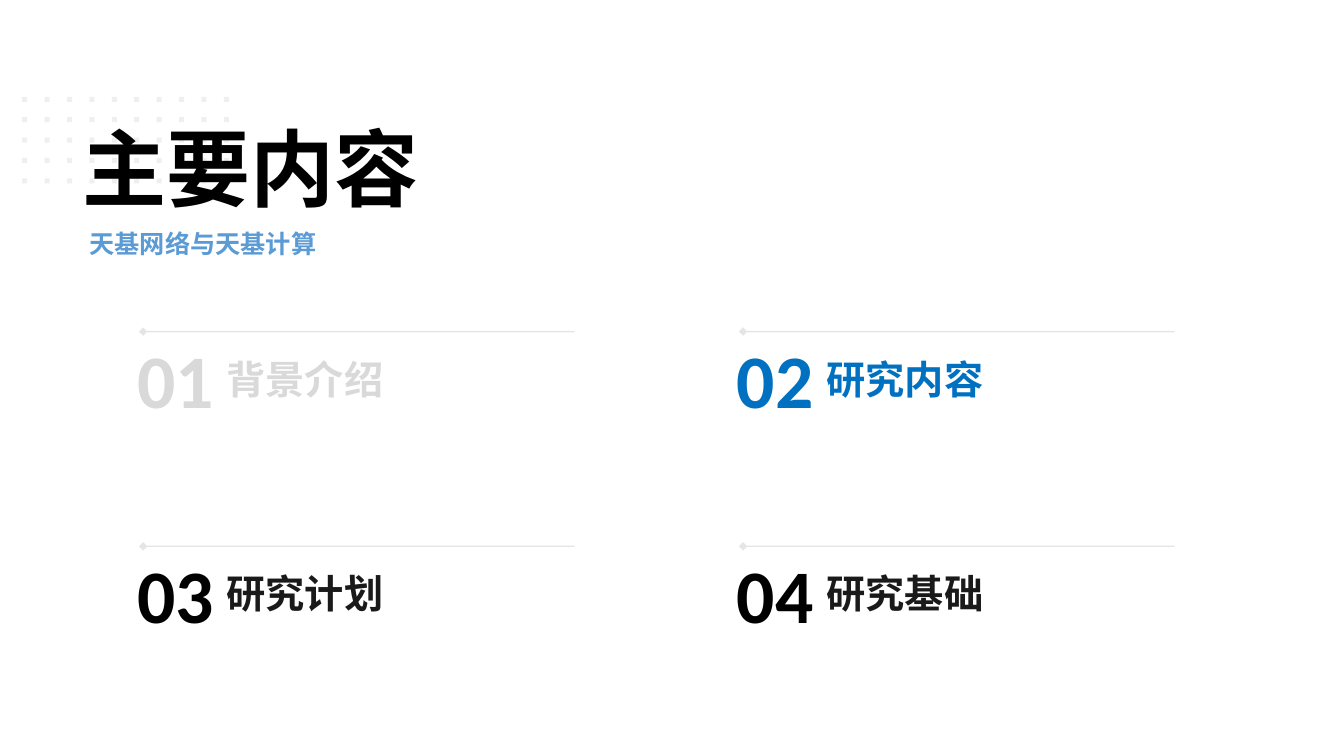
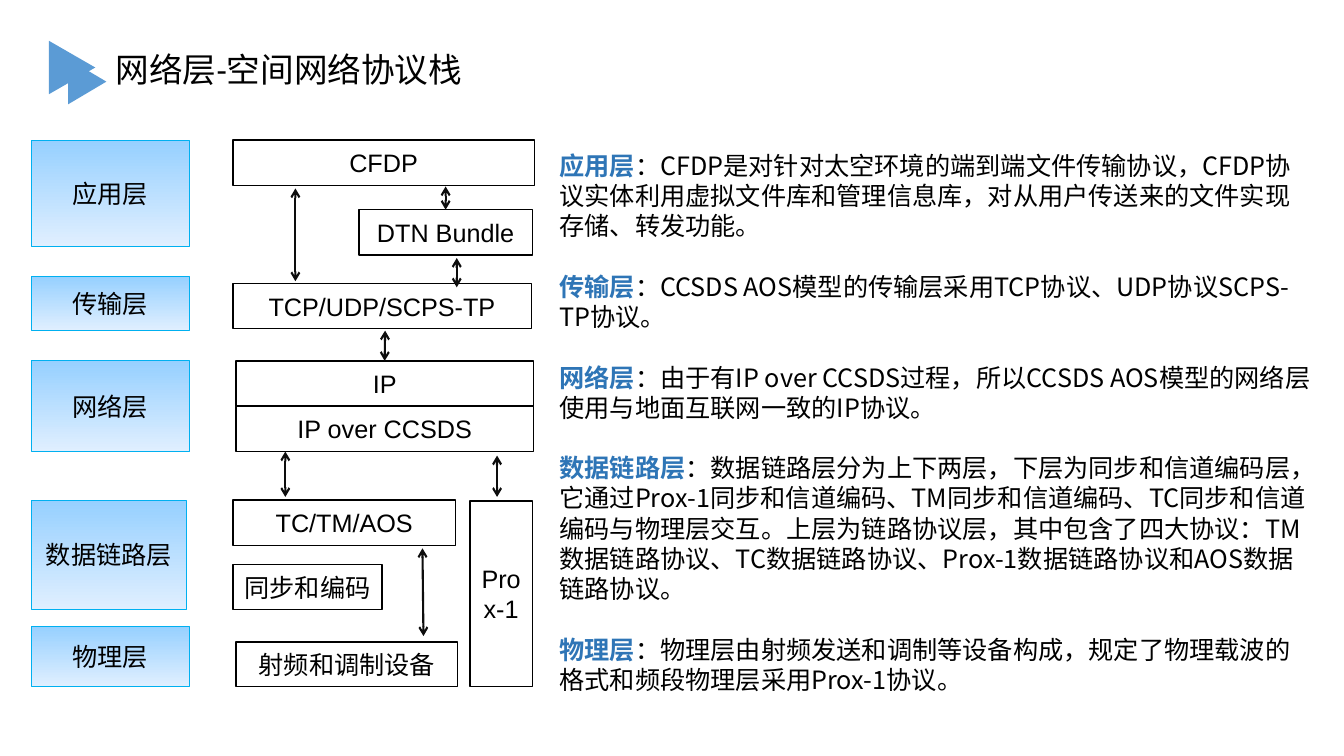
from dataclasses import dataclass
from itertools import product
from typing import NamedTuple, Optional

from pptx import Presentation
from pptx.dml.color import RGBColor as Rgb
from pptx.enum.shapes import MSO_CONNECTOR as Conn, MSO_SHAPE as Geom
from pptx.enum.text import MSO_ANCHOR as Anchor, PP_ALIGN as Align
from pptx.oxml.ns import qn
from pptx.oxml.xmlchemy import OxmlElement as Node
from pptx.util import Inches, Pt


@dataclass(frozen=True)
class Theme:
    black: str = "000000"
    white: str = "FFFFFF"
    gray: str = "808080"
    faded: str = "D9D9D9"
    dark: str = "1A1A1A"
    arrow: str = "0D0D0D"
    accent: str = "5B9BD5"
    active: str = "0070C0"
    term: str = "2E75B6"
    edge: str = "00B0F0"
    top: str = "96D0FF"
    base: str = "E0EFFF"
    head: str = "Calibri"
    label: str = "Arial"
    prose: str = "Noto Sans CJK SC"
    huge: float = 60
    number: float = 54
    item: float = 28
    title: float = 24
    body: float = 18
    pitch: float = 21.6


T = Theme()


class Area(NamedTuple):
    x: float
    y: float
    w: float
    h: float

    def lengths(self) -> list:
        return [Inches(v) for v in self]


class Style(NamedTuple):
    size: float
    color: str = T.black
    font: str = T.head
    bold: bool = False


class Topic(NamedTuple):
    text: str
    tint: str
    ink: str


class Box(NamedTuple):
    text: str
    area: Area


class Arrow(NamedTuple):
    x: float
    y: float
    x2: float
    y2: float
    target: Optional[str] = None


class Note(NamedTuple):
    term: str
    text: str


TOPICS = [
    Topic("背景介绍", T.faded, T.faded),
    Topic("研究内容", T.active, T.active),
    Topic("研究计划", T.black, T.dark),
    Topic("研究基础", T.black, T.dark),
]

LAYERS = [
    Box("应用层", Area(0.31, 1.39, 1.57, 1.05)),
    Box("传输层", Area(0.31, 2.74, 1.57, 0.54)),
    Box("网络层", Area(0.31, 3.58, 1.57, 0.9)),
    Box("数据链路层", Area(0.31, 4.96, 1.54, 1.09)),
    Box("物理层", Area(0.31, 6.21, 1.57, 0.6)),
]

STACK = [
    Box("CFDP", Area(2.31, 1.39, 2.99, 0.45)),
    Box("DTN Bundle", Area(3.56, 2.08, 1.72, 0.45)),
    Box("TCP/UDP/SCPS-TP", Area(2.31, 2.81, 2.96, 0.45)),
    Box("IP", Area(2.34, 3.58, 2.95, 0.45)),
    Box("IP over CCSDS", Area(2.34, 4.03, 2.95, 0.45)),
    Box("TC/TM/AOS", Area(2.31, 4.96, 2.21, 0.45)),
    Box("同步和编码", Area(2.31, 5.6, 1.48, 0.45)),
    Box("Prox-1", Area(4.66, 4.97, 0.62, 1.84)),
    Box("射频和调制设备", Area(2.34, 6.37, 2.2, 0.44)),
]

ARROWS = [
    Arrow(2.93, 1.87, 2.93, 2.79),
    Arrow(4.42, 1.85, 4.42, 2.08, "DTN Bundle"),
    Arrow(4.53, 2.56, 4.53, 2.85),
    Arrow(3.82, 3.28, 3.82, 3.58, "IP"),
    Arrow(2.83, 4.48, 2.83, 4.93),
    Arrow(4.93, 4.52, 4.93, 4.93),
    Arrow(4.19, 5.44, 4.2, 6.31),
]

NOTES = [
    Note("应用层", "：CFDP是对针对太空环境的端到端文件传输协议，CFDP协议实体利用虚拟文件库和管理信息库，"
         "对从用户传送来的文件实现存储、转发功能。"),
    Note("传输层", "：CCSDS AOS模型的传输层采用TCP协议、UDP协议SCPS-TP协议。"),
    Note("网络层", "：由于有IP over CCSDS过程，所以CCSDS AOS模型的网络层使用与地面互联网一致的IP协议。"),
    Note("数据链路层", "：数据链路层分为上下两层，下层为同步和信道编码层，它通过Prox-1同步和信道编码、"
         "TM同步和信道编码、TC同步和信道编码与物理层交互。上层为链路协议层，其中包含了四大协议："
         "TM数据链路协议、TC数据链路协议、Prox-1数据链路协议和AOS数据链路协议。"),
    Note("物理层", "：物理层由射频发送和调制等设备构成，规定了物理载波的格式和频段物理层采用Prox-1协议。"),
]


def rgb(code: str) -> Rgb:
    return Rgb.from_string(code)


def fade(shape, share: int) -> None:
    """Make every plain colour of the shape opaque by share percent only."""
    for color in shape.element.spPr.iter(qn("a:srgbClr")):
        alpha = Node("a:alpha")
        alpha.set("val", str(share * 1000))
        color.append(alpha)


def format_run(run, style: Style) -> None:
    font = run.font
    font.name, font.size, font.bold = style.font, Pt(style.size), style.bold
    font.color.rgb = rgb(style.color)
    east = Node("a:ea")
    east.set("typeface", style.font)
    run.font._element.find(qn("a:latin")).addnext(east)


def write(shape, text: str, style: Style, align=Align.LEFT, anchor=Anchor.TOP) -> None:
    frame = shape.text_frame
    frame.word_wrap = True
    frame.vertical_anchor = anchor
    frame.text = text
    para = frame.paragraphs[0]
    para.alignment = align
    format_run(para.runs[0], style)


def add_text(slide, area: Area, text: str, style: Style,
             align=Align.LEFT, anchor=Anchor.TOP) -> None:
    write(slide.shapes.add_textbox(*area.lengths()), text, style, align, anchor)


def add_form(slide, kind, area: Area, color: str, turn: float = 0):
    shape = slide.shapes.add_shape(kind, *area.lengths())
    shape.shadow.inherit = False
    shape.rotation = turn
    shape.fill.solid()
    shape.fill.fore_color.rgb = rgb(color)
    shape.line.fill.background()
    return shape


def add_line(slide, ends: tuple, color: str, width: float, head: str,
             tail: Optional[str] = None):
    line = slide.shapes.add_connector(Conn.STRAIGHT, *[Inches(v) for v in ends])
    line.line.color.rgb = rgb(color)
    line.line.width = Pt(width)
    props = line.element.spPr
    for tag, kind in (("a:headEnd", head), ("a:tailEnd", tail)):
        if kind:
            tip = Node(tag)
            tip.set("type", kind)
            props.find(qn("a:ln")).append(tip)
    props.append(Node("a:effectLst"))
    return line


def add_box(slide, box: Box, edge: str, width: float):
    shape = add_form(slide, Geom.RECTANGLE, box.area, T.white)
    shape.line.color.rgb = rgb(edge)
    shape.line.width = Pt(width)
    write(shape, box.text, Style(T.body, font=T.label), Align.CENTER, Anchor.MIDDLE)
    return shape


def add_layer(slide, box: Box) -> None:
    fill = add_box(slide, box, T.edge, 0.5).fill
    fill.gradient()
    fill.gradient_angle = 270
    for stop, color in zip(fill.gradient_stops, (T.top, T.base)):
        stop.color.rgb = rgb(color)


def add_topic(slide, index: int, topic: Topic) -> None:
    row, col = divmod(index, 2)
    x, y = 1.21 + col * 5.95, 3.25 + row * 2.13
    add_text(slide, Area(x, y, 1.06, 1.01), f"{index + 1:02}",
             Style(T.number, topic.tint, bold=True), Align.CENTER, Anchor.MIDDLE)
    add_text(slide, Area(x + 0.94, y + 0.22, 3.82, 0.57), topic.text,
             Style(T.item, topic.ink, bold=True), anchor=Anchor.MIDDLE)
    rule = add_line(slide, (x + 0.21, y + 0.04, x + 4.49, y + 0.04), T.gray, 1, "diamond")
    fade(rule, 20)


def add_notes(slide, area: Area) -> None:
    frame = slide.shapes.add_textbox(*area.lengths()).text_frame
    frame.word_wrap = True
    for index, note in enumerate(NOTES):
        para = frame.add_paragraph() if index else frame.paragraphs[0]
        para.line_spacing = Pt(T.pitch)
        if index:
            para.space_before = Pt(T.pitch)
        for text, color, bold in ((note.term, T.term, True), (note.text, T.black, False)):
            run = para.add_run()
            run.text = text
            format_run(run, Style(T.body, color, T.prose, bold))


def build_agenda(slide) -> None:
    for col, row in product(range(10), range(5)):
        area = Area(0.22 + col * 2 / 9, 0.96 + row * 0.81 / 4, 0.05, 0.05)
        fade(add_form(slide, Geom.RECTANGLE, area, T.gray), 12)
    add_text(slide, Area(0.72, 1.11, 5.63, 1.11), "主要内容", Style(T.huge, bold=True))
    add_text(slide, Area(0.79, 2.22, 5.56, 0.4), "天基网络与天基计算",
             Style(T.body, T.accent, bold=True))
    for index, topic in enumerate(TOPICS):
        add_topic(slide, index, topic)


def build_stack(slide) -> None:
    add_text(slide, Area(1.05, 0.44, 4.36, 0.71), "网络层-空间网络协议栈", Style(T.title))
    for area in (Area(0.45, 0.44, 0.53, 0.46), Area(0.64, 0.62, 0.45, 0.38)):
        add_form(slide, Geom.ISOSCELES_TRIANGLE, area, T.accent, 90)
    for layer in LAYERS:
        add_layer(slide, layer)
    boxes = {box.text: add_box(slide, box, T.black, 1) for box in STACK}
    for arrow in ARROWS:
        line = add_line(slide, arrow[:4], T.arrow, 1.5, "arrow", "arrow")
        if arrow.target:
            line.end_connect(boxes[arrow.target], 0)
    add_notes(slide, Area(5.45, 1.44, 7.69, 5.55))


def main() -> None:
    deck = Presentation()
    deck.slide_width, deck.slide_height = Inches(13.33), Inches(7.5)
    for build in (build_agenda, build_stack):
        build(deck.slides.add_slide(deck.slide_layouts[6]))
    deck.save("out.pptx")


if __name__ == "__main__":
    main()
